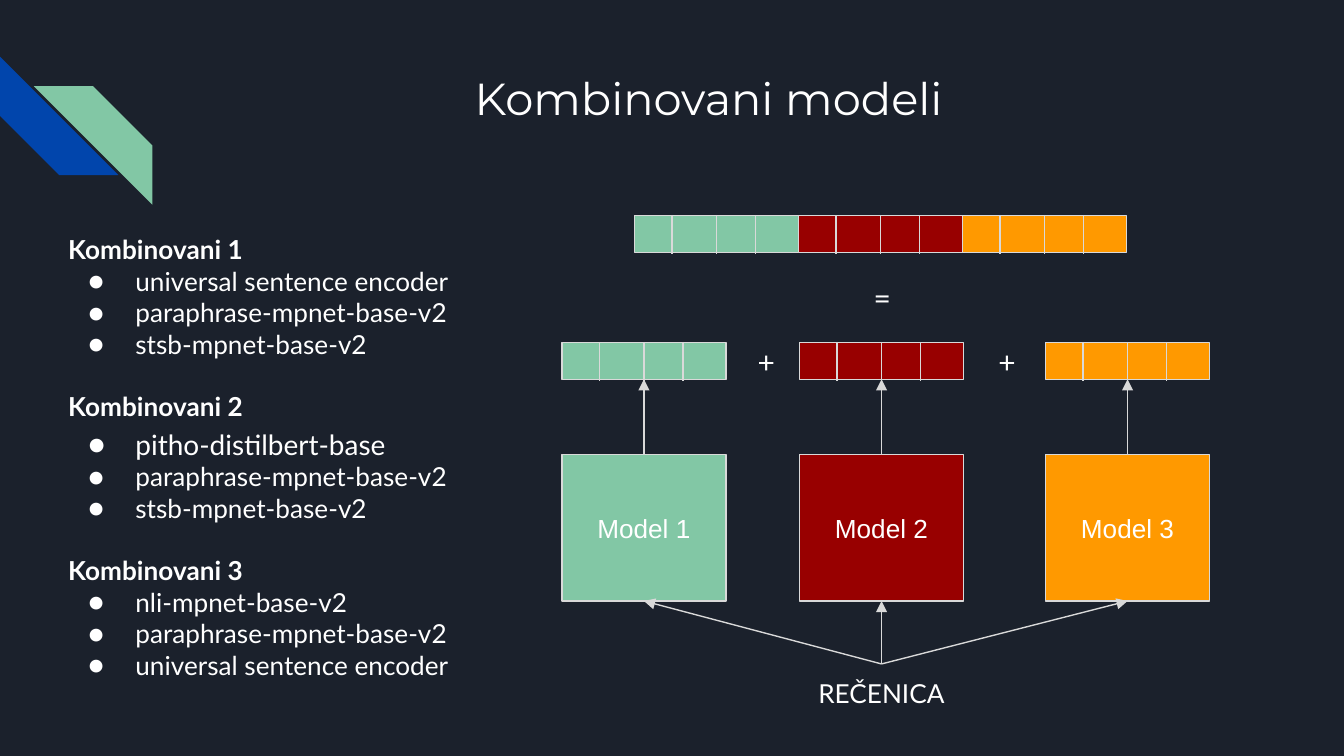
import pptx
import pptx.util
import pptx.dml.color
import pptx.enum.shapes
import pptx.enum.text
import pptx.oxml
import pptx.oxml.ns

Cm, Pt = pptx.util.Cm, pptx.util.Pt
KIND = pptx.enum.shapes.MSO_SHAPE
ALIGN = pptx.enum.text.PP_ALIGN
ANCHOR = pptx.enum.text.MSO_ANCHOR

HUES = {"back": "1B212C", "blue": "0145AC", "green": "82C7A5", "red": "980000",
        "orange": "FF9900", "line": "D9D9D9", "text": "FFFFFF"}

TITLE = "Kombinovani modeli"
SOURCE = "REČENICA"
# name, colour, left edge in cm
MODELS = [("Model 1", "green", 10.62),
          ("Model 2", "red", 15.11),
          ("Model 3", "orange", 19.76)]
# sign, left, top, width, alignment
SIGNS = [("+", 14.07, 6.25, 1.14, ALIGN.LEFT),
         ("+", 18.62, 6.25, 1.14, ALIGN.LEFT),
         ("=", 16.0, 5.03, 1.35, ALIGN.CENTER)]
GROUPS = [
    ("Kombinovani 1", ["universal sentence encoder", "paraphrase-mpnet-base-v2",
                       "stsb-mpnet-base-v2"]),
    ("Kombinovani 2", ["pitho-distilbert-base", "paraphrase-mpnet-base-v2",
                       "stsb-mpnet-base-v2"]),
    ("Kombinovani 3", ["nli-mpnet-base-v2", "paraphrase-mpnet-base-v2",
                       "universal sentence encoder"]),
]
LARGE = {"pitho-distilbert-base": {"size": 15, "lines": 1.15}}

WIDE = 3.1                   # width of every model and strip
BOX_TOP, BOX_HIGH = 8.59, 2.77
ROW_TOP, SUM_TOP, ROW_HIGH = 6.48, 4.08, 0.69
SUM_LEFT = 11.99
CUTS = [0.71, 1.55, 2.29]    # dividers, from the left of a strip
HUB = (16.66, 12.55)

deck = pptx.Presentation()
deck.slide_width, deck.slide_height = Cm(25.4), Cm(14.29)
slide = deck.slides.add_slide(deck.slide_layouts[6])


def hue(name):
    return pptx.dml.color.RGBColor.from_string(HUES[name])


def write(frame, text, size=14, font="Lato", bold=False, align=ALIGN.LEFT,
          before=0, lines=None, bullet=False):
    """Add one paragraph, using the first one while it is still empty."""
    para = frame.paragraphs[0]
    if para.runs:
        para = frame.add_paragraph()
    para.alignment = align
    para.space_before = Pt(before)
    if lines:
        para.line_spacing = lines
    run = para.add_run()
    run.text = text
    run.font.size, run.font.name, run.font.bold = Pt(size), font, bold
    run.font.color.rgb = hue("text")
    if bullet:
        props = para._p.get_or_add_pPr()
        props.set("marL", str(Cm(1.27)))
        props.set("indent", str(Cm(-0.89)))
        space = pptx.oxml.ns.nsdecls("a")
        for part in (f'<a:buClr {space}><a:srgbClr val="{HUES["text"]}"/></a:buClr>',
                     f'<a:buFont {space} typeface="{font}"/>',
                     f'<a:buChar {space} char="●"/>'):
            props.append(pptx.oxml.parse_xml(part))


def pad(frame):
    frame.word_wrap = True
    frame.margin_left = frame.margin_right = Cm(0.25)
    frame.margin_top = frame.margin_bottom = Cm(0.25)
    return frame


def label(left, top, wide, high):
    box = slide.shapes.add_textbox(Cm(left), Cm(top), Cm(wide), Cm(high))
    return pad(box.text_frame)


def block(left, top, wide, high, fill, kind=KIND.RECTANGLE, edge=True):
    shape = slide.shapes.add_shape(kind, Cm(left), Cm(top), Cm(wide), Cm(high))
    shape.shadow.inherit = False
    shape.fill.solid()
    shape.fill.fore_color.rgb = hue(fill)
    if edge:
        shape.line.color.rgb = hue("line")
        shape.line.width = Pt(0.75)
    else:
        shape.line.fill.background()
    return shape


def line(start, end, arrow=False):
    link = slide.shapes.add_connector(pptx.enum.shapes.MSO_CONNECTOR.STRAIGHT,
                                      *map(Cm, start + end))
    link.line.color.rgb = hue("line")
    link.line.width = Pt(0.75)
    props = link._element.spPr
    if arrow:
        head = pptx.oxml.ns.qn("a:tailEnd")
        link.line._get_or_add_ln().append(props.makeelement(head, {"type": "triangle"}))
    props.append(props.makeelement(pptx.oxml.ns.qn("a:effectLst"), {}))


def strip(left, top, fill):
    """Draw a vector of four cells."""
    block(left, top, WIDE, ROW_HIGH, fill)
    for cut in CUTS:
        line((left + cut, top - 0.02), (left + cut, top + ROW_HIGH + 0.03))


slide.background.fill.solid()
slide.background.fill.fore_color.rgb = hue("back")

stripe = KIND.DIAGONAL_STRIPE
block(0, 1.07, 2.24, 2.24, "blue", stripe, edge=False).rotation = 270
green = block(0.64, 1.63, 2.24, 2.24, "green", stripe, edge=False)
green._element.spPr.xfrm.set("flipH", "1")

write(label(3.61, 1.09, 19.56, 2.54), TITLE, size=24, font="Montserrat",
      align=ALIGN.CENTER)

for i, (name, fill, left) in enumerate(MODELS):
    box = block(left, BOX_TOP, WIDE, BOX_HIGH, fill)
    frame = pad(box.text_frame)
    frame.vertical_anchor = ANCHOR.MIDDLE
    write(frame, name, font="Arial", align=ALIGN.CENTER)
    strip(left, ROW_TOP, fill)
    strip(SUM_LEFT + i * WIDE, SUM_TOP, fill)
    mid = left + WIDE / 2
    line(HUB, (mid, BOX_TOP + BOX_HIGH), arrow=True)
    line((mid, BOX_TOP), (mid, ROW_TOP + ROW_HIGH), arrow=True)

for sign, left, top, wide, align in SIGNS:
    write(label(left, top, wide, 1.19), sign, size=16, align=align)
write(label(15.11, HUB[1], WIDE, 1.12), SOURCE, align=ALIGN.CENTER)

column = label(1.04, 4.17, 8.05, 9.63)
for i, (head, items) in enumerate(GROUPS):
    write(column, head, bold=True, before=16.8 if i else 0)
    for item in items:
        write(column, item, bullet=True, **LARGE.get(item, {}))

deck.save("out.pptx")
